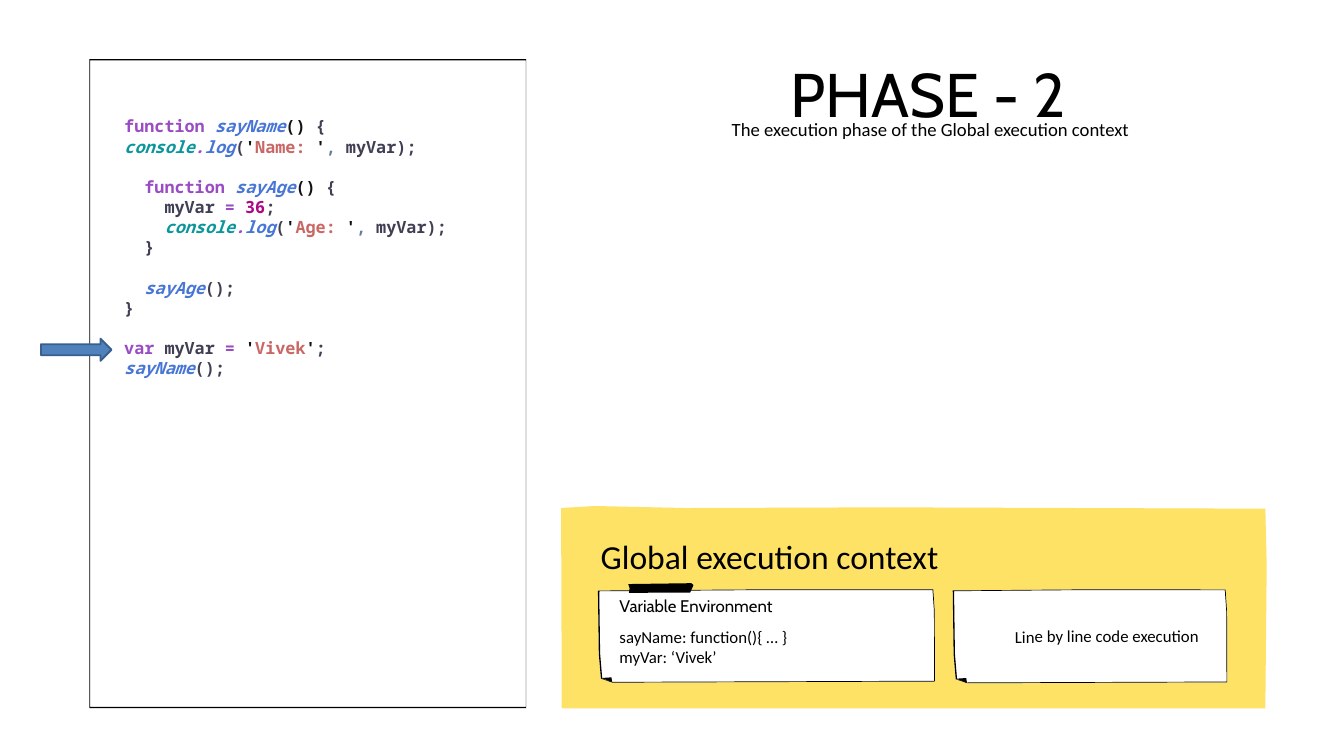
import pptx
import pptx.util
import pptx.dml.color
import pptx.enum.shapes
import pptx.enum.text
from dataclasses import dataclass
from pptx.util import Inches, Pt


@dataclass(frozen=True)
class Theme:
    ink: str = "000000"
    paper: str = "FFFFFF"
    panel: str = "FEE266"
    arrow: str = "4F81BD"
    arrow_line: str = "3A5F8C"
    body_font: str = "Calibri"
    title_font: str = "Cabin"
    code_font: str = "Noto Sans Mono"
    title: int = 66
    heading: int = 36
    subtitle: int = 20
    body: int = 18
    code_line: float = 21.6


THEME = Theme()

# Syntax styles: colour, italic
SYNTAX = {
    "keyword": ("994CC3", False),
    "call": ("4876D6", True),
    "object": ("0C969B", True),
    "dot": ("994CC3", True),
    "mark": ("111111", False),
    "string": ("C96765", False),
    "number": ("AA0982", False),
    "comma": ("5F7E97", False),
    "plain": ("403F53", False),
}


def quoted(text):
    return [("'", "mark"), (text, "string"), ("'", "mark")]


def declaration(indent, name):
    return [(indent + "function ", "keyword"), (name, "call"),
            ("()", "mark"), (" {", "plain")]


def log_call(indent, label):
    return [(indent + "console", "object"), (".", "dot"), ("log", "call"), ("(", "plain"),
            *quoted(label), (",", "comma"), (" myVar);", "plain")]


def call(indent, name):
    return [(indent + name, "call"), ("();", "plain")]


# Blocks of code, set apart by one line of space
CODE = [
    [declaration("", "sayName"), log_call("", "Name: ")],
    [declaration("  ", "sayAge"),
     [("    myVar ", "plain"), ("= ", "keyword"), ("36", "number"), (";", "plain")],
     log_call("    ", "Age: "),
     [("  }", "plain")]],
    [call("  ", "sayAge"), [("}", "plain")]],
    [[("var ", "keyword"), ("myVar ", "plain"), ("= ", "keyword"),
      *quoted("Vivek"), (";", "plain")],
     call("", "sayName")],
]


def rgb(value):
    return pptx.dml.color.RGBColor.from_string(value)


def paint(shape, fill, line=None):
    shape.shadow.inherit = False
    shape.fill.solid()
    shape.fill.fore_color.rgb = rgb(fill)
    if line:
        shape.line.color.rgb = rgb(line)
        shape.line.width = Pt(2)
    else:
        shape.line.fill.background()


def add_outline(slide, contours, fill):
    """Draw closed contours, given in inches, as one filled shape."""
    builder = None
    for contour in contours:
        points = [(Inches(x), Inches(y)) for x, y in contour]
        if builder is None:
            builder = slide.shapes.build_freeform(*points[0])
        else:
            builder.move_to(*points[0])
        builder.add_line_segments(points[1:], close=True)
    shape = builder.convert_to_shape()
    paint(shape, fill)
    return shape


def add_run(paragraph, text, font, size, color=THEME.ink):
    run = paragraph.add_run()
    run.text = text
    run.font.name = font
    run.font.size = Pt(size)
    run.font.color.rgb = rgb(color)
    return run


def add_frame(slide, box, wrap=True):
    frame = slide.shapes.add_textbox(*(Inches(value) for value in box)).text_frame
    frame.word_wrap = wrap
    frame.auto_size = pptx.enum.text.MSO_AUTO_SIZE.SHAPE_TO_FIT_TEXT
    return frame


def add_text(slide, box, lines, font, size, wrap=True, centered=False):
    frame = add_frame(slide, box, wrap)
    for index, line in enumerate(lines):
        paragraph = frame.add_paragraph() if index else frame.paragraphs[0]
        if centered:
            paragraph.alignment = pptx.enum.text.PP_ALIGN.CENTER
        add_run(paragraph, line, font, size)
    return frame


def rectangle(left, top, right, bottom):
    return [(left, top), (right, top), (right, bottom), (left, bottom)]


def add_code_panel(slide, left, top, width, height):
    # Thin frame, heavier at top and bottom
    right, bottom = left + width, top + height
    add_outline(slide, [rectangle(left, top, right, bottom),
                        rectangle(left + 0.01, top + 0.02, right - 0.005, bottom - 0.02)],
                THEME.ink)

    # Pointer to the line being run
    pointer = slide.shapes.add_shape(
        pptx.enum.shapes.MSO_SHAPE.RIGHT_ARROW,
        Inches(left - 0.72), Inches(top + 4.16), Inches(1.05), Inches(0.33))
    paint(pointer, THEME.arrow, THEME.arrow_line)

    # Code
    frame = add_frame(slide, (left + 0.42, top + 0.8, 5.76, 4.34))
    paragraph = None
    for block in CODE:
        for number, line in enumerate(block):
            first = paragraph is None
            paragraph = frame.paragraphs[0] if first else frame.add_paragraph()
            if number == 0 and not first:
                paragraph.space_before = Pt(THEME.code_line)
            for text, style in line:
                color, italic = SYNTAX[style]
                run = add_run(paragraph, text, THEME.code_font, THEME.body, color)
                run.font.bold = True
                run.font.italic = italic


def add_title(slide, left, top, width):
    middle = left + width / 2
    frame = add_text(slide, (middle - 2.34, top, 4.61, 1.64), ["PHASE - 2"],
                     THEME.title_font, THEME.title, wrap=False, centered=True)
    frame.paragraphs[0].line_spacing = Pt(121)
    add_text(slide, (left, top + 1.5, width, 0.44),
             ["The execution phase of the Global execution context"],
             THEME.body_font, THEME.subtitle, centered=True)


def add_card(slide, left, top, width, height):
    """Paper card with a hand-drawn edge and a curled corner; returns the paper."""
    right, bottom = left + width, top + height
    curl = [(left + 0.05, bottom - 0.06), (left + 0.2, bottom - 0.07), (left + 0.21, bottom)]
    outer = [(left, top + 0.01), (left + width / 2, top), (right - 0.02, top + 0.01),
             (right, top + 0.33), (right, bottom), (left + 0.21, bottom),
             (left + 0.04, bottom - 0.06), (left + 0.01, bottom - 0.43)]
    inner = [(left + 0.02, top + 0.02), (left + width / 2, top + 0.01), (right - 0.03, top + 0.02),
             (right - 0.01, top + 0.33), (right - 0.01, bottom - 0.01), (left + 0.21, bottom - 0.01),
             (left + 0.06, bottom - 0.06), (left + 0.03, bottom - 0.43)]
    paper = add_outline(slide, [outer], THEME.paper)
    edge = add_outline(slide, [outer, inner], THEME.ink)
    add_outline(slide, [curl], THEME.ink)
    paper.rotation = edge.rotation = 359.8
    return paper


def add_context_panel(slide, left, top, width, height):
    right, bottom = left + width, top + height
    add_outline(slide, [[(left, top + 0.05), (left + 0.5, top + 0.02), (left + 1.86, top + 0.05),
                         (left + 4.85, top + 0.04), (right - 0.02, top + 0.06),
                         (right, top + 0.9), (right - 0.02, bottom),
                         (left + 0.01, bottom)]], THEME.panel)
    add_text(slide, (left + 0.49, top + 0.41, 6.08, 0.71), ["Global execution context"],
             THEME.body_font, THEME.heading)

    # Variable environment, held by a strip of tape
    card_top = top + 1.26
    add_card(slide, left + 0.55, card_top, 5.01, 1.38)
    x, y = left + 1, top + 1.17
    tape = add_outline(slide, [[(x, y + 0.01), (x + 0.94, y), (x + 0.97, y + 0.03),
                                (x + 0.92, y + 0.14), (x + 0.01, y + 0.14),
                                (x + 0.02, y + 0.07)]], THEME.ink)
    tape.rotation = 359.8
    text_left = left + 0.77
    add_text(slide, (text_left, top + 1.77, 4.63, 0.71),
             ["sayName: function(){ … }", "myVar: ‘Vivek’"], THEME.body_font, THEME.body)
    add_text(slide, (text_left, top + 1.31, 2.76, 0.4), ["Variable Environment"],
             THEME.title_font, THEME.body, wrap=False)

    # Code execution
    card = add_card(slide, left + 5.83, card_top, 4.08, 1.39)
    frame = card.text_frame
    frame.word_wrap = True
    frame.vertical_anchor = pptx.enum.text.MSO_ANCHOR.MIDDLE
    paragraph = frame.paragraphs[0]
    paragraph.alignment = pptx.enum.text.PP_ALIGN.CENTER
    properties = paragraph._p.get_or_add_pPr()
    properties.set("marL", str(Inches(0.5)))
    properties.set("indent", "0")
    paragraph.level = 1
    add_run(paragraph, "Line by line code execution", THEME.body_font, THEME.body)


def main():
    presentation = pptx.Presentation()
    presentation.slide_width = Inches(20)
    presentation.slide_height = Inches(11.25)
    slide = presentation.slides.add_slide(presentation.slide_layouts[6])
    add_code_panel(slide, 1.33, 0.88, 6.5, 9.66)
    add_title(slide, 9.75, 0.21, 8.19)
    add_context_panel(slide, 8.35, 7.51, 10.5, 3.03)
    presentation.save("out.pptx")


if __name__ == "__main__":
    main()
